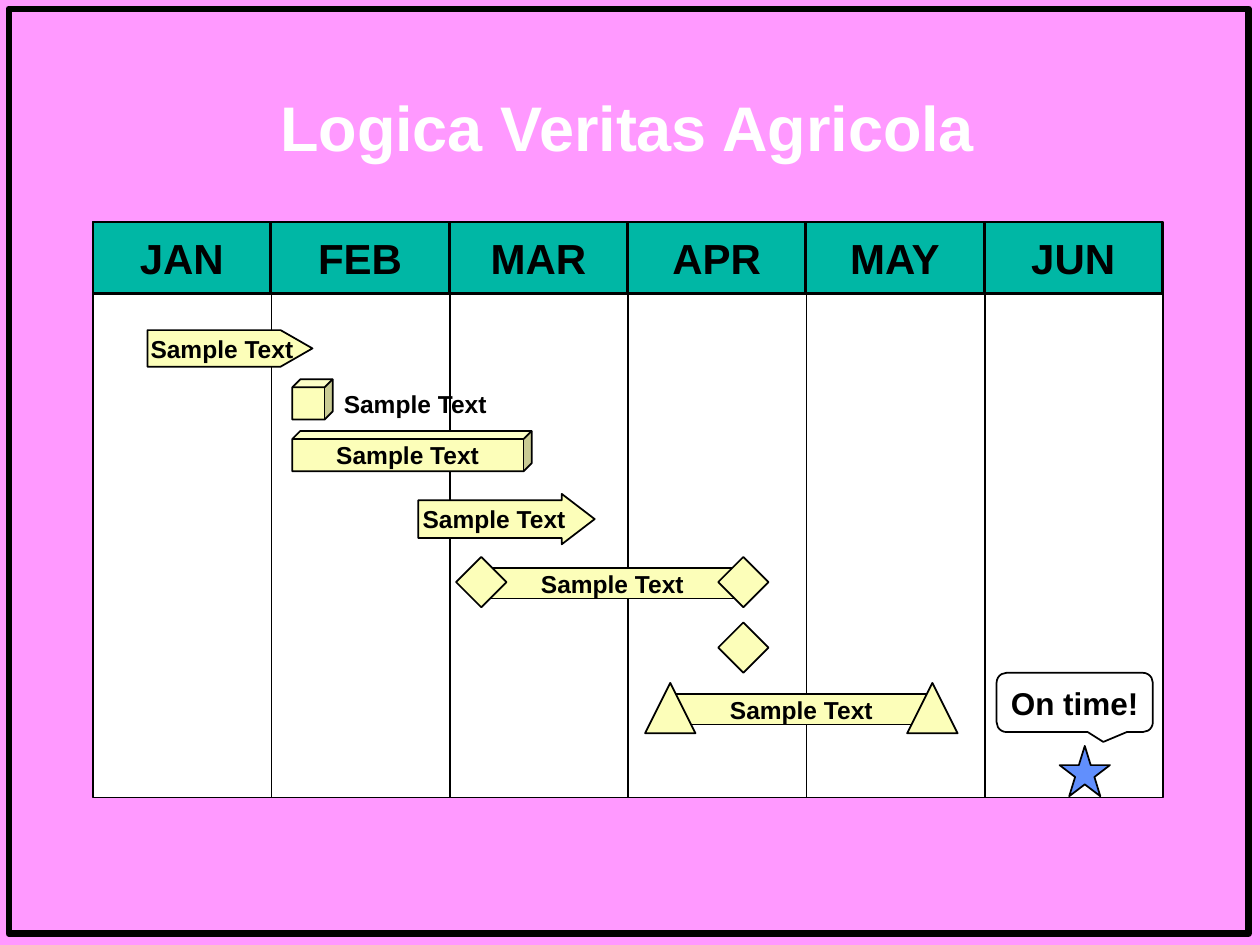
from pptx import Presentation
from pptx.dml.color import RGBColor
from pptx.enum import shapes, text
from pptx.oxml.ns import qn
from pptx.util import Inches, Pt
from lxml import etree

BLACK, WHITE, PINK = "000000", "FFFFFF", "FF99FF"
TEAL, CREAM, BLUE = "00B7A5", "FCFEB9", "618FFD"
KIND = shapes.MSO_SHAPE
MONTHS = ["JAN", "FEB", "MAR", "APR", "MAY", "JUN"]
LABEL = "Sample Text"
MARKER = 0.4


def color(value):
    return RGBColor.from_string(value)


def write(shape, words, size=14, fill=BLACK, align=text.PP_ALIGN.CENTER,
          anchor=text.MSO_ANCHOR.MIDDLE, wrap=False, inset=0.1, indent=0, spacing=None):
    frame = shape.text_frame
    frame.word_wrap = wrap
    frame.vertical_anchor = anchor
    frame.margin_left = frame.margin_right = Inches(inset)
    frame.margin_top = frame.margin_bottom = Inches(inset / 2)
    para = frame.paragraphs[0]
    para.alignment = align
    if spacing:
        para.line_spacing = spacing
    if indent:
        props = para._p.get_or_add_pPr()
        props.set("marL", str(Inches(indent)))
        props.set("indent", "0")
    span = para.add_run()
    span.text = words
    span.font.name = "Arial"
    span.font.size = Pt(size)
    span.font.bold = True
    span.font.color.rgb = color(fill)


def add_shape(page, kind, box, fill=CREAM, weight=1, adjust=()):
    shape = page.shapes.add_shape(kind, *(Inches(v) for v in box))
    shape.shadow.inherit = False
    if fill:
        shape.fill.solid()
        shape.fill.fore_color.rgb = color(fill)
    else:
        shape.fill.background()
    shape.line.color.rgb = color(BLACK)
    shape.line.width = Pt(weight)
    for index, value in enumerate(adjust):
        shape.adjustments[index] = value
    return shape


def add_line(page, start, end, weight=1):
    line = page.shapes.add_connector(
        shapes.MSO_CONNECTOR.STRAIGHT, *(Inches(v) for v in (*start, *end)))
    line.line.color.rgb = color(BLACK)
    line.line.width = Pt(weight)
    etree.SubElement(line._element.spPr, qn("a:effectLst"))


def add_title(page, box):
    title = page.shapes.add_textbox(*(Inches(v) for v in box))
    write(title, "Logica Veritas Agricola", size=36, fill=WHITE, wrap=True,
          anchor=text.MSO_ANCHOR.TOP, spacing=0.89)


def add_calendar(page, box, header=0.57):
    left, top, width, height = box
    step = width / len(MONTHS)
    add_shape(page, KIND.RECTANGLE, box, WHITE)
    for index, month in enumerate(MONTHS):
        cell = add_shape(page, KIND.RECTANGLE,
                         (left + index * step, top, step - 0.01, header), TEAL)
        write(cell, month, size=24, inset=0.14)
    # Rule below the months, then the column dividers
    base = top + header
    add_line(page, (left, base), (left + width, base), 2)
    for index in range(1, len(MONTHS)):
        x = left + index * step
        add_line(page, (x, base), (x, top + height))


def add_span(page, kind, box):
    """Bar between the centres of two markers that fill the ends of the box."""
    left, top, width, height = box
    bar_height = 0.24
    bar = add_shape(page, KIND.RECTANGLE,
                    (left + MARKER / 2, top + 0.09, width - MARKER, bar_height))
    write(bar, LABEL)
    for x in (left, left + width - MARKER):
        add_shape(page, kind, (x, top, MARKER, height))


def add_tasks(page, box):
    left, top = box[:2]

    def place(x, y, width, height):
        return left + x, top + y, width, height

    # Labelled tasks
    tasks = [
        (KIND.PENTAGON, (0.43, 0.29, 1.31, 0.29), [0.872], {}),
        (KIND.CUBE, (1.58, 0.68, 0.32, 0.32), [0.2],
         {"align": text.PP_ALIGN.LEFT, "indent": 0.31}),
        (KIND.CUBE, (1.58, 1.09, 1.9, 0.32), [0.2],
         {"align": text.PP_ALIGN.LEFT, "indent": 0.25}),
        (KIND.RIGHT_ARROW, (2.58, 1.59, 1.4, MARKER), [0.75, 0.653], {"inset": 0.14}),
    ]
    for kind, spot, adjust, style in tasks:
        write(add_shape(page, kind, place(*spot), adjust=adjust), LABEL, **style)

    # Spans and the single milestone
    add_span(page, KIND.DIAMOND, place(2.88, 2.09, 2.48, MARKER))
    add_shape(page, KIND.DIAMOND, place(4.96, 2.61, MARKER, MARKER))
    add_span(page, KIND.ISOSCELES_TRIANGLE, place(4.38, 3.09, 2.48, MARKER))

    # Finish star and its callout
    add_shape(page, KIND.STAR_5_POINT, place(7.67, 3.59, MARKER, MARKER), BLUE)
    callout = add_shape(page, KIND.ROUNDED_RECTANGULAR_CALLOUT,
                        place(7.17, 3.01, 1.24, 0.47), WHITE,
                        adjust=[0.183, 0.667, 0.167])
    write(callout, "On time!", size=18)


def main():
    deck = Presentation()
    deck.slide_width, deck.slide_height = Inches(10), Inches(7.5)
    page = deck.slides.add_slide(deck.slide_layouts[6])
    page.background.fill.solid()
    page.background.fill.fore_color.rgb = color(PINK)
    add_shape(page, KIND.RECTANGLE, (0.07, 0.07, 9.84, 7.34), fill=None, weight=3.75)
    add_title(page, (0.3, 0.73, 9.36, 0.5))
    add_calendar(page, (0.74, 1.76, 8.49, 4.57))
    add_tasks(page, (0.74, 2.33, 8.49, 4))
    deck.save("out.pptx")


if __name__ == "__main__":
    main()
